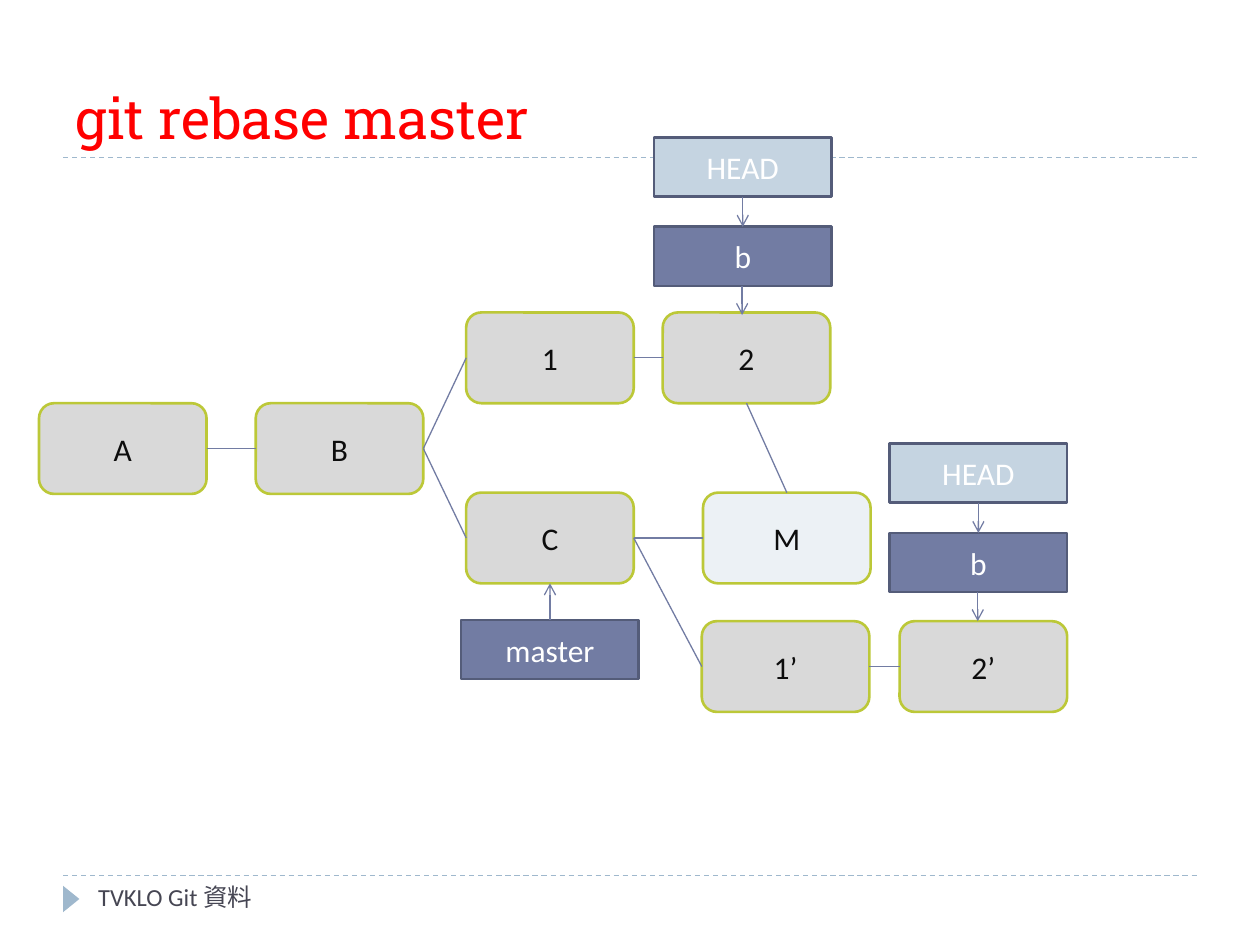
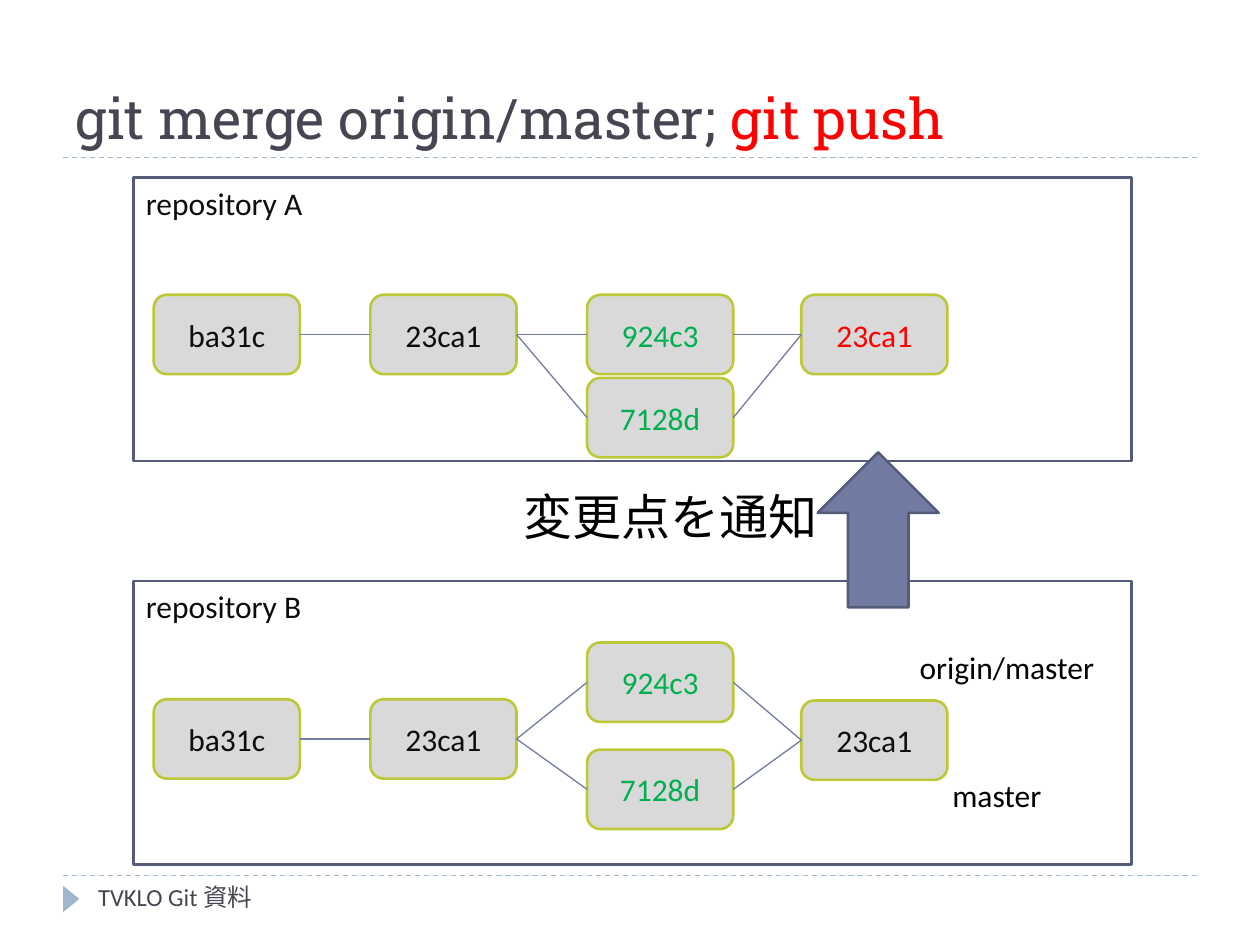
"""Build two slides on Git history: rebasing a branch, then merging and pushing."""
from dataclasses import dataclass

from lxml.etree import SubElement
from pptx import Presentation
from pptx.dml.color import RGBColor
from pptx.enum.dml import MSO_LINE_DASH_STYLE as Dash
from pptx.enum.shapes import MSO_CONNECTOR as Line, MSO_SHAPE as Kind
from pptx.enum.text import MSO_ANCHOR as Anchor, MSO_AUTO_SIZE as AutoSize, PP_ALIGN as Align
from pptx.oxml.ns import qn
from pptx.util import Inches, Pt


@dataclass(frozen=True)
class Theme:
    title_font: str = "Roboto Slab"
    body_font: str = "Calibri"
    title_size: int = 32
    message_size: int = 28
    body_size: int = 18
    footer_size: int = 14
    title: str = "464653"
    accent: str = "FF0000"
    rule: str = "9FB8CD"
    link: str = "727CA3"
    frame: str = "545C79"
    commit: str = "D9D9D9"
    commit_edge: str = "BCC838"
    merged: str = "ECF1F5"
    branch: str = "727CA3"
    head: str = "C5D4E1"
    ink: str = "0D0D0D"
    black: str = "000000"
    white: str = "FFFFFF"
    new: str = "00B050"


theme = Theme()
TOP, LEFT, BOTTOM, RIGHT = range(4)


def add_box(slide, kind, at, text="", fill=None, edge=None, color=theme.ink,
            size=theme.body_size, centred=True):
    """Add a preset shape, or a text box when kind is None."""
    at = [Inches(length) for length in at]
    if kind is None:
        box = slide.shapes.add_textbox(*at)
    else:
        box = slide.shapes.add_shape(kind, *at)
        box.shadow.inherit = False
        if fill:
            box.fill.solid()
            box.fill.fore_color.rgb = RGBColor.from_string(fill)
        else:
            box.fill.background()
        if edge:
            box.line.color.rgb = RGBColor.from_string(edge)
            box.line.width = Pt(1.5)
        else:
            box.line.fill.background()
    if text:
        frame = box.text_frame
        frame.word_wrap = True
        frame.vertical_anchor = Anchor.MIDDLE if centred else Anchor.TOP
        paragraph = frame.paragraphs[0]
        paragraph.text = text
        paragraph.alignment = Align.CENTER if centred else Align.LEFT
        paragraph.font.name = theme.body_font
        paragraph.font.size = Pt(size)
        paragraph.font.color.rgb = RGBColor.from_string(color)
    return box


def add_link(slide, start, end, color=theme.link, arrow=False):
    """Join two (shape, side) pairs or two (x, y) points."""
    line = slide.shapes.add_connector(Line.STRAIGHT, 0, 0, 0, 0)
    if isinstance(start[0], float):
        line.begin_x, line.begin_y, line.end_x, line.end_y = map(Inches, (*start, *end))
    else:
        line.begin_connect(*start)
        line.end_connect(*end)
    line.line.color.rgb = RGBColor.from_string(color)
    line.line.width = Pt(0.75)
    if arrow:
        SubElement(line._element.spPr.find(qn("a:ln")), qn("a:tailEnd"), type="arrow")
    SubElement(line._element.spPr, qn("a:effectLst"))
    return line


deck = Presentation()
deck.slide_width, deck.slide_height = Inches(10), Inches(7.5)

titles = [
    [("git rebase master", theme.accent)],
    [("git merge origin/master; ", theme.title), ("git push", theme.accent)],
]
for title_parts in titles:
    slide = deck.slides.add_slide(deck.slide_layouts[5])
    title = slide.shapes.title
    title.left, title.top, title.width, title.height = map(Inches, (0.5, 0.17, 9, 1.08))
    title.text_frame.auto_size = AutoSize.NONE
    title.text_frame.vertical_anchor = Anchor.BOTTOM
    heading = title.text_frame.paragraphs[0]
    heading.alignment = Align.LEFT
    heading.font.name = theme.title_font
    heading.font.size = Pt(theme.title_size)
    for words, color in title_parts:
        run = heading.add_run()
        run.text = words
        run.font.color.rgb = RGBColor.from_string(color)
    for y in (6.95, 1.25):
        rule = add_link(slide, (0.5, y), (9.5, y), theme.rule)
        rule.line.dash_style = Dash.DASH
    marker = add_box(slide, Kind.ISOSCELES_TRIANGLE, (0.46, 7.07, 0.21, 0.13), fill=theme.rule)
    marker.rotation = 90
    add_box(slide, None, (0.68, 6.95, 3.48, 0.4), "TVKLO Git 資料", color=theme.title,
            size=theme.footer_size, centred=False)

rebase, push = deck.slides

commit_places = {
    "A": (0.31, 3.2), "B": (2.03, 3.2), "1": (3.7, 2.48), "2": (5.26, 2.48),
    "C": (3.7, 3.91), "M": (5.58, 3.91), "1’": (5.57, 4.93), "2’": (7.14, 4.93),
}
commits = {
    name: add_box(rebase, Kind.ROUNDED_RECTANGLE, (*place, 1.33, 0.72), name,
                  theme.merged if name == "M" else theme.commit, theme.commit_edge)
    for name, place in commit_places.items()
}
for parent, child in ("AB", "B1", "BC", "12", "CM", ("C", "1’"), ("1’", "2’")):
    add_link(rebase, (commits[parent], RIGHT), (commits[child], LEFT))
add_link(rebase, (commits["2"], BOTTOM), (commits["M"], TOP))

for x, y in ((5.19, 1.09), (7.06, 3.52)):
    head = add_box(rebase, Kind.RECTANGLE, (x, y, 1.41, 0.47), "HEAD",
                   theme.head, theme.frame, theme.white)
    branch = add_box(rebase, Kind.RECTANGLE, (x, y + 0.71, 1.41, 0.47), "b",
                     theme.branch, theme.frame, theme.white)
    add_link(rebase, (head, BOTTOM), (branch, TOP), arrow=True)
    add_link(rebase, (x + 0.7, y + 1.18), (x + 0.7, y + 1.41), arrow=True)
master = add_box(rebase, Kind.RECTANGLE, (3.66, 4.92, 1.41, 0.47), "master",
                 theme.branch, theme.frame, theme.white)
add_link(rebase, (master, TOP), (commits["C"], BOTTOM), arrow=True)

history = [("ba31c", 1.22, theme.ink), ("23ca1", 2.94, theme.ink), ("924c3", 4.66, theme.new),
           ("7128d", 4.66, theme.new), ("23ca1", 6.36, theme.ink)]
repositories = [
    ("repository A", 1.41, (2.34, 2.34, 2.34, 3, 2.34), theme.accent),
    ("repository B", 4.61, (5.55, 5.55, 5.1, 5.95, 5.56), theme.ink),
]
for repository, top, rows, merge_color in repositories:
    add_box(push, Kind.RECTANGLE, (1.06, top, 7.92, 2.25), repository,
            edge=theme.frame, centred=False)
    chain = [
        add_box(push, Kind.ROUNDED_RECTANGLE, (x, y, 1.16, 0.63), name,
                theme.commit, theme.commit_edge, color)
        for (name, x, color), y in zip(history, rows)
    ]
    chain[-1].text_frame.paragraphs[0].font.color.rgb = RGBColor.from_string(merge_color)
    for parent, child in ((0, 1), (1, 2), (1, 3), (2, 4), (3, 4)):
        add_link(push, (chain[parent], RIGHT), (chain[child], LEFT))

notify = add_box(push, Kind.DOWN_ARROW, (6.49, 3.59, 0.96, 1.23),
                 fill=theme.branch, edge=theme.frame)
notify.rotation = 180
labels = [
    ("変更点を通知", (4.06, 3.81, 2.99, 0.57), theme.message_size),
    ("origin/master", (7.2, 5.09, 1.6, 0.4), theme.body_size),
    ("master", (7.46, 6.11, 1.1, 0.4), theme.body_size),
]
for label, at, size in labels:
    add_box(push, None, at, label, color=theme.black, size=size, centred=False)

deck.save("out.pptx")
